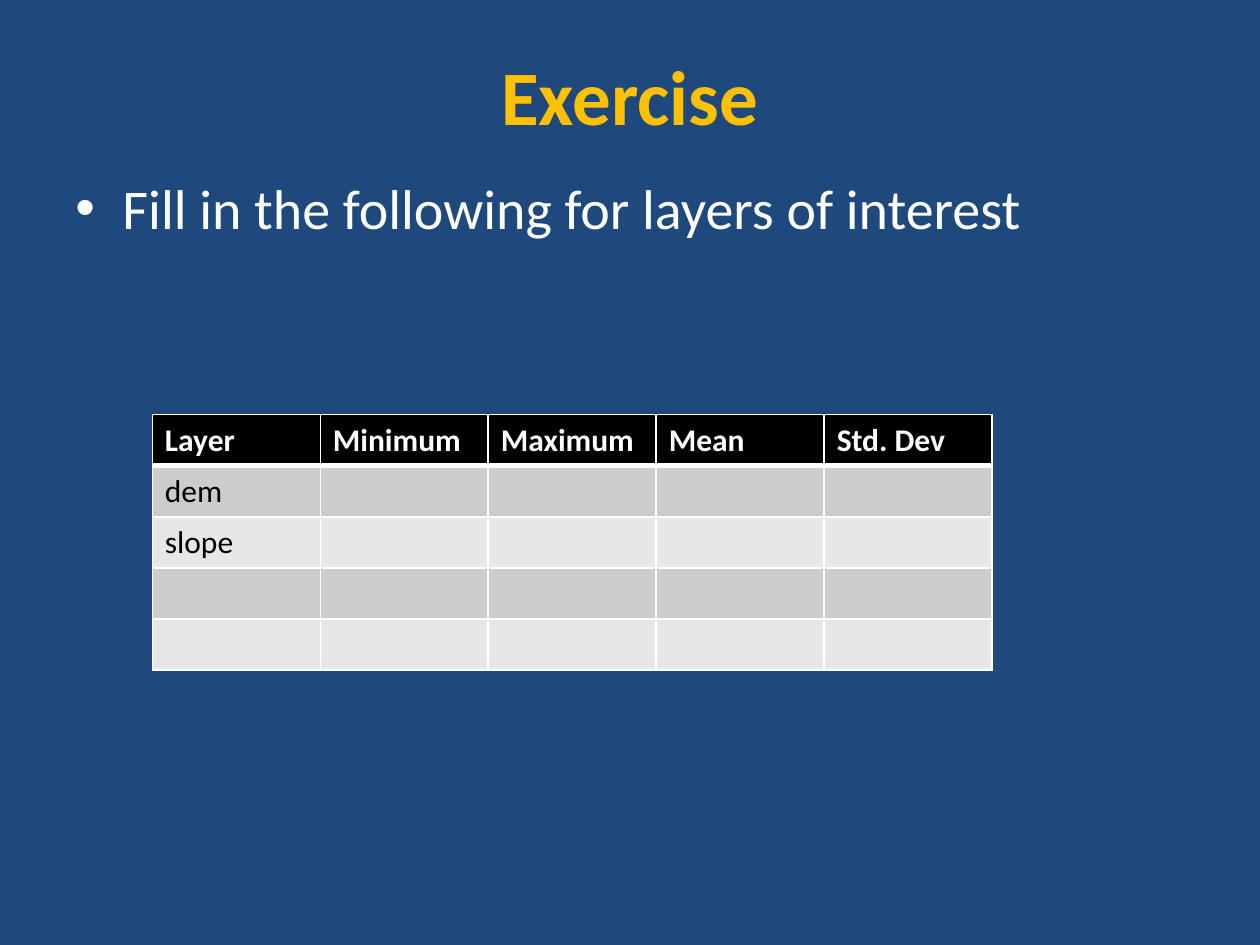
from lxml.etree import SubElement
from pptx import Presentation
from pptx.dml.color import RGBColor
from pptx.enum.text import MSO_ANCHOR, PP_ALIGN
from pptx.oxml.ns import qn
from pptx.util import Cm, Pt

NAVY = RGBColor(0x1F, 0x49, 0x7D)
GOLD = RGBColor(0xFF, 0xC0, 0x00)
WHITE = RGBColor(0xFF, 0xFF, 0xFF)
BLACK = RGBColor(0x00, 0x00, 0x00)
DARK_BAND = RGBColor(0xCC, 0xCC, 0xCC)
LIGHT_BAND = RGBColor(0xE7, 0xE7, 0xE7)

FONT = "Calibri"
HEADERS = ["Layer", "Minimum", "Maximum", "Mean", "Std. Dev"]
LAYERS = ["dem", "slope", "", ""]


def add_run(paragraph, text, size, color, bold=False):
    run = paragraph.add_run()
    run.text = text
    run.font.name = FONT
    run.font.size = Pt(size)
    run.font.color.rgb = color
    run.font.bold = bold


def format_title(title, text):
    title.left, title.top = Cm(1.27), Cm(0.64)
    title.width, title.height = Cm(22.86), Cm(2.54)
    title.text_frame.vertical_anchor = MSO_ANCHOR.MIDDLE
    paragraph = title.text_frame.paragraphs[0]
    paragraph.alignment = PP_ALIGN.CENTER
    add_run(paragraph, text, 44, GOLD, bold=True)


def add_bullet_text(slide, text):
    box = slide.shapes.add_textbox(Cm(1.27), Cm(3.38), Cm(22.86), Cm(14.22))
    box.text_frame.word_wrap = True
    paragraph = box.text_frame.paragraphs[0]
    paragraph.space_before = Pt(6.4)
    add_run(paragraph, text, 32, WHITE)
    properties = paragraph._p.get_or_add_pPr()
    properties.set("marL", str(Cm(0.95)))
    properties.set("indent", str(-Cm(0.95)))
    SubElement(properties, qn("a:buFont"), typeface="Arial")
    SubElement(properties, qn("a:buChar"), char="•")


def set_borders(cell, **widths):
    """Draw white borders; widths in points are keyed by side: L, R, T, B."""
    properties = cell._tc.get_or_add_tcPr()
    for side, width in widths.items():
        line = SubElement(properties, qn(f"a:ln{side}"), w=str(Pt(width)))
        fill = SubElement(line, qn("a:solidFill"))
        SubElement(fill, qn("a:srgbClr"), val=str(WHITE))


def add_layer_table(slide):
    rows = [HEADERS] + [[layer] + [""] * (len(HEADERS) - 1) for layer in LAYERS]
    frame = slide.shapes.add_table(
        len(rows), len(HEADERS), Cm(3.07), Cm(8.36), Cm(16.93), Cm(5.15)
    )
    table = frame.table
    table.horz_banding = False
    for row_index, row in enumerate(rows):
        is_header = row_index == 0
        band = DARK_BAND if row_index % 2 else LIGHT_BAND
        for column_index, text in enumerate(row):
            cell = table.cell(row_index, column_index)
            set_borders(
                cell, L=1, R=1,
                T=3 if row_index == 1 else 1,
                B=3 if is_header else 1,
            )
            cell.fill.solid()
            cell.fill.fore_color.rgb = BLACK if is_header else band
            if text:
                color = WHITE if is_header else BLACK
                add_run(cell.text_frame.paragraphs[0], text, 18, color, is_header)


def main():
    presentation = Presentation()
    presentation.slide_width, presentation.slide_height = Cm(25.4), Cm(19.05)
    slide = presentation.slides.add_slide(presentation.slide_layouts[5])
    slide.background.fill.solid()
    slide.background.fill.fore_color.rgb = NAVY
    format_title(slide.shapes.title, "Exercise")
    add_bullet_text(slide, "Fill in the following for layers of interest")
    add_layer_table(slide)
    presentation.save("out.pptx")


if __name__ == "__main__":
    main()
